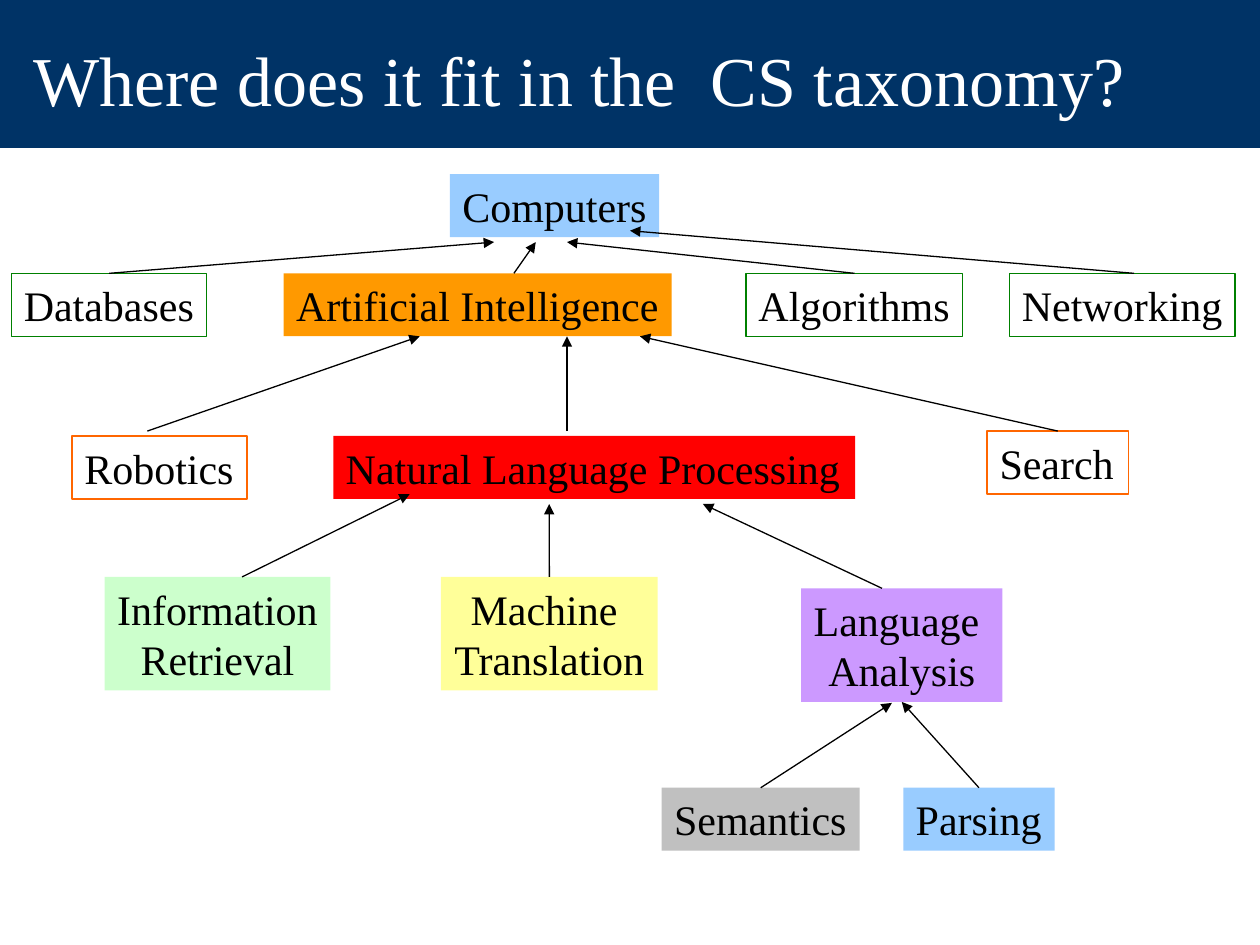
"""Build a slide that shows where language processing sits in computer science."""
from lxml.etree import SubElement
from pptx import Presentation
from pptx.dml.color import RGBColor as Rgb
from pptx.enum.shapes import MSO_CONNECTOR as Link, MSO_SHAPE as Kind
from pptx.enum.text import MSO_ANCHOR as Anchor, MSO_AUTO_SIZE as Fit, PP_ALIGN as Align
from pptx.oxml.ns import qn
from pptx.util import Cm, Pt

HUES = {
    "navy": "003366", "white": "FFFFFF", "black": "000000", "blue": "99CCFF",
    "amber": "FF9900", "green": "008000", "orange": "FF6600", "red": "FF0000",
    "mint": "CCFFCC", "yellow": "FFFF99", "violet": "CC99FF", "grey": "C0C0C0",
}
ROWS = {"root": 3.51, "field": 5.51, "search": 8.69, "branch": 8.79,
        "task": 11.63, "study": 11.86, "leaf": 15.88}

NODES = [
    ("Computers", 9.07, "root", 4.22, "blue", None),
    ("Artificial Intelligence", 5.72, "field", 7.82, "amber", None),
    ("Algorithms", 15.04, "field", 4.37, None, "green"),
    ("Databases", 0.23, "field", 3.94, None, "green"),
    ("Networking", 20.35, "field", 4.55, None, "green"),
    ("Robotics", 1.45, "branch", 3.53, None, "orange"),
    ("Search", 19.9, "search", 2.85, None, "orange"),
    ("Natural Language Processing", 6.72, "branch", 10.52, "red", None),
    ("Information\nRetrieval", 2.11, "task", 4.55, "mint", None),
    ("Machine \nTranslation", 8.89, "task", 4.37, "yellow", None),
    ("Language \nAnalysis", 16.15, "study", 4.06, "violet", None),
    ("Semantics", 13.34, "leaf", 3.99, "grey", None),
    ("Parsing", 18.21, "leaf", 3.05, "blue", None),
]

ARROWS = [
    ("Semantics", (17.98, 14.17)),
    ("Parsing", "Language \nAnalysis"),
    ((4.88, 11.63), (8.26, 9.96)),
    ("Machine \nTranslation", (11.07, 10.16)),
    ((17.78, 11.86), (14.17, 10.16)),
    ((2.97, 8.69), (8.46, 6.78)),
    ((11.43, 8.69), (11.43, 6.78)),
    ("Search", (12.9, 6.78)),
    ("Databases", (9.96, 4.88)),
    ((10.36, 5.51), (10.8, 4.88)),
    ("Algorithms", (11.43, 4.88)),
    ((22.86, 5.51), (12.7, 4.65)),
]


def tint(name):
    return Rgb.from_string(HUES[name])


def write(frame, text, size=24, hue="black", font="Times New Roman", align=Align.LEFT):
    frame.text = text
    for para in frame.paragraphs:
        para.alignment = align
        para.font.size = Pt(size)
        para.font.name = font
        para.font.color.rgb = tint(hue)


class Board:
    def __init__(self, slide, width=0.75):
        self.slide = slide
        self.width = Pt(width)
        self.nodes = {}

    def rect(self, x, y, w, h, fill=None, line=None):
        shape = self.slide.shapes.add_shape(Kind.RECTANGLE, Cm(x), Cm(y), Cm(w), Cm(h))
        shape.shadow.inherit = False
        if fill:
            shape.fill.solid()
            shape.fill.fore_color.rgb = tint(fill)
        else:
            shape.fill.background()
        if line:
            shape.line.color.rgb = tint(line)
            shape.line.width = self.width
        else:
            shape.line.fill.background()
        return shape

    def title(self, text):
        self.rect(0, 0, 25.4, 2.97, "navy", "navy")
        box = self.slide.shapes.add_textbox(Cm(0.43), Cm(0), Cm(22.66), Cm(3.18))
        box.text_frame.word_wrap = True
        box.text_frame.vertical_anchor = Anchor.MIDDLE
        write(box.text_frame, text, size=40, hue="white")

    def node(self, text, x, row, w, fill, line):
        tall = "\n" in text
        shape = self.rect(x, ROWS[row], w, 2.29 if tall else 1.27, fill, line)
        frame = shape.text_frame
        frame.word_wrap = False
        frame.auto_size = Fit.SHAPE_TO_FIT_TEXT
        frame.vertical_anchor = Anchor.TOP
        write(frame, text, align=Align.CENTER if tall else Align.LEFT)
        self.nodes[text] = shape

    def arrow(self, start, end):
        x, y = (0, 0) if start in self.nodes else start
        right, low = (0, 0) if end in self.nodes else end
        line = self.slide.shapes.add_connector(
            Link.STRAIGHT, Cm(x), Cm(y), Cm(right), Cm(low))
        if start in self.nodes:
            line.begin_connect(self.nodes[start], 0)
        if end in self.nodes:
            line.end_connect(self.nodes[end], 2)
        line.line.color.rgb = tint("black")
        line.line.width = self.width
        props = line._element.spPr
        SubElement(props.find(qn("a:ln")), qn("a:tailEnd"), type="triangle")
        SubElement(props, qn("a:effectLst"))


def main():
    deck = Presentation()
    deck.slide_width, deck.slide_height = Cm(25.4), Cm(19.05)
    board = Board(deck.slides.add_slide(deck.slide_layouts[6]))
    board.title("Where does it fit in the  CS taxonomy?")
    for node in NODES:
        board.node(*node)
    for start, end in ARROWS:
        board.arrow(start, end)
    deck.save("out.pptx")


if __name__ == "__main__":
    main()
